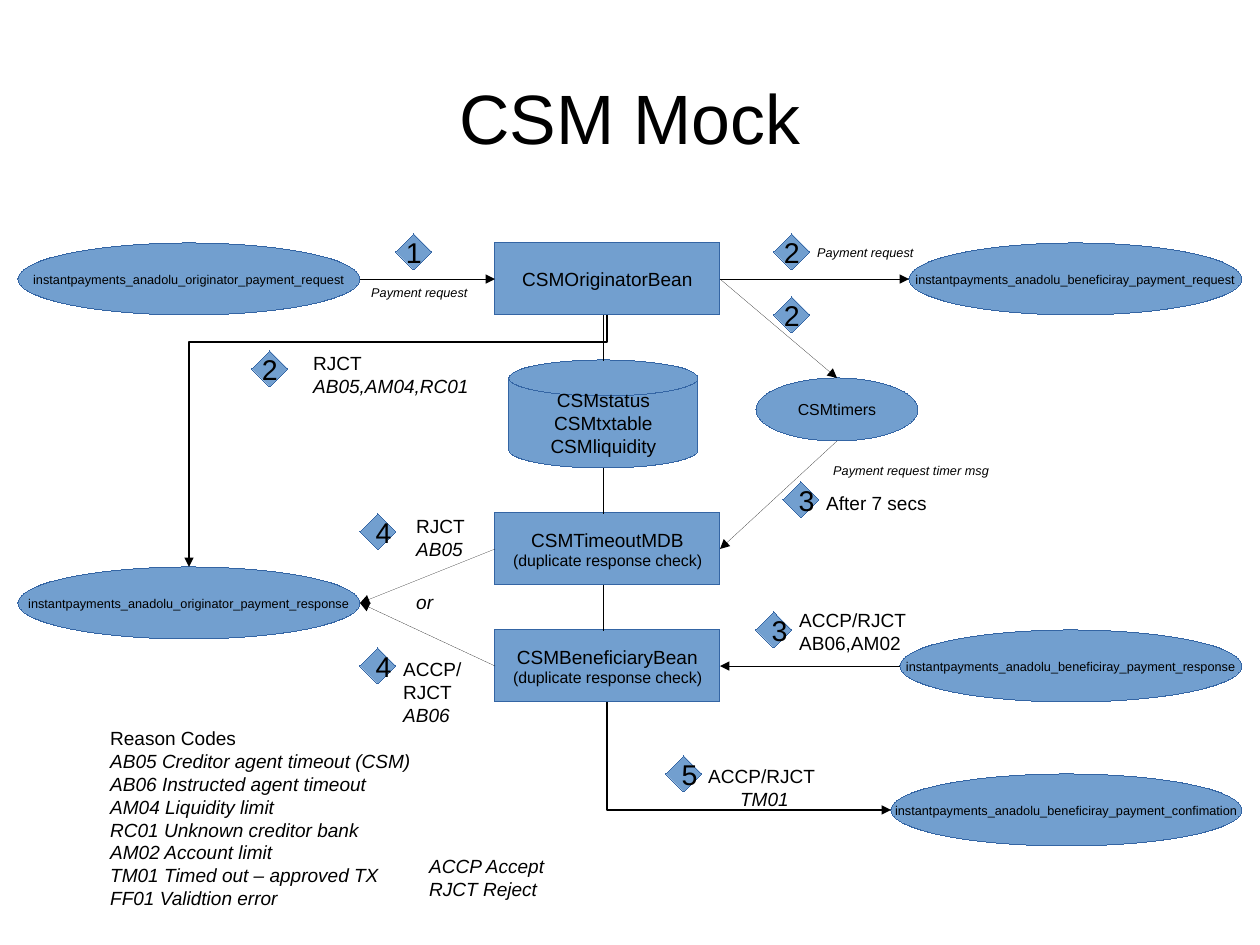
"""Build the CSM Mock payment flow slide."""
from lxml.etree import SubElement
from pptx import Presentation
from pptx.dml.color import RGBColor
from pptx.enum.shapes import MSO_CONNECTOR, MSO_SHAPE
from pptx.enum.text import MSO_ANCHOR, MSO_AUTO_SIZE, PP_ALIGN
from pptx.oxml.ns import qn
from pptx.util import Pt

PX = 8000
COLORS = {"fill": "729FCF", "edge": "3465A4", "ink": "000000"}
FONT = "Arial"
CENTER, JUSTIFY = PP_ALIGN.CENTER, PP_ALIGN.JUSTIFY

deck = Presentation()
deck.slide_width, deck.slide_height = 1260 * PX, 945 * PX
page = deck.slides.add_slide(deck.slide_layouts[6])


def write(box, lines, size, align, italic_from=99, last_size=None):
    """Fill a box with lines; runs from italic_from onward are italic."""
    frame = box.text_frame
    frame.text = "\n".join(lines)
    spans = []
    for para in frame.paragraphs:
        para.alignment = align
        spans.extend(para.runs)
    for index, span in enumerate(spans):
        span.font.name = FONT
        span.font.size = Pt(last_size if last_size and index else size)
        span.font.color.rgb = RGBColor.from_string(COLORS["ink"])
        span.font.italic = index >= italic_from


def style_line(shape, color, width, arrow=False):
    """Set a stroke's colour, width and optional arrowhead."""
    shape.line.color.rgb = RGBColor.from_string(COLORS[color])
    stroke = shape.line._get_or_add_ln()
    stroke.set("w", str(Pt(width)))
    if arrow:
        SubElement(stroke, qn("a:tailEnd"), type="triangle")


title = page.shapes.add_textbox(63 * PX, 38 * PX, 1134 * PX, 158 * PX)
title.text_frame.word_wrap = True
title.text_frame.vertical_anchor = MSO_ANCHOR.MIDDLE
write(title, ["CSM Mock"], 44, CENTER)

RECT, OVAL, DIAMOND = MSO_SHAPE.RECTANGLE, MSO_SHAPE.OVAL, MSO_SHAPE.DIAMOND
DISK = MSO_SHAPE.FLOWCHART_MAGNETIC_DISK
CHECK = "(duplicate response check)"
QUEUE = "instantpayments_anadolu_"
nodes = [
    (OVAL, 18, 243, 342, 72, [QUEUE + "originator_payment_request"], 8, CENTER),
    (RECT, 495, 243, 225, 72, ["CSMOriginatorBean"], 12, CENTER),
    (DISK, 509, 360, 189, 108, ["CSMstatus", "CSMtxtable", "CSMliquidity"], 12, CENTER),
    (RECT, 495, 513, 225, 72, ["CSMTimeoutMDB", CHECK], 12, CENTER),
    (RECT, 495, 630, 225, 72, ["CSMBeneficiaryBean", CHECK], 12, CENTER),
    (OVAL, 18, 567, 342, 72, [QUEUE + "originator_payment_response"], 8, CENTER),
    (OVAL, 909, 243, 333, 72, [QUEUE + "beneficiray_payment_request"], 8, CENTER),
    (OVAL, 756, 378, 162, 63, ["CSMtimers"], 10, CENTER),
    (OVAL, 900, 630, 342, 72, [QUEUE + "beneficiray_payment_response"], 8, CENTER),
    (OVAL, 891, 774, 351, 72, [QUEUE + "beneficiray_payment_confimation"], 8, CENTER),
]
steps = [
    ("1", 396, 234, CENTER), ("2", 774, 234, CENTER), ("2", 774, 297, CENTER),
    ("2", 252, 351, CENTER), ("4", 360, 514, JUSTIFY), ("3", 783, 482, JUSTIFY),
    ("3", 756, 612, JUSTIFY), ("5", 666, 756, JUSTIFY), ("4", 360, 648, JUSTIFY),
]
nodes += [(DIAMOND, left, top, 36, 36, [number], 18, align)
          for number, left, top, align in steps]

boxes = {}
for kind, left, top, width, height, lines, size, align in nodes:
    box = page.shapes.add_shape(kind, left * PX, top * PX, width * PX, height * PX)
    box.shadow.inherit = False
    box.fill.solid()
    box.fill.fore_color.rgb = RGBColor.from_string(COLORS["fill"])
    style_line(box, "edge", 0)
    box.text_frame.word_wrap = False
    box.text_frame.vertical_anchor = MSO_ANCHOR.MIDDLE
    write(box, lines, size, align, last_size=10 if CHECK in lines else None)
    boxes[lines[0]] = box

origin = boxes["CSMOriginatorBean"]
timeout = boxes["CSMTimeoutMDB"]
beneficiary = boxes["CSMBeneficiaryBean"]
LEFT, RIGHT = 1, 3
links = [
    ((360, 279), (495, 279), None, (origin, LEFT), True),
    ((603, 315), (603, 360), None, None, False),
    ((603, 468), (603, 513), None, None, False),
    ((603, 585), (603, 630), None, None, False),
    ((495, 549), (360, 603), (timeout, LEFT), None, True),
    ((495, 666), (360, 603), (beneficiary, LEFT), None, True),
    ((720, 279), (909, 279), (origin, RIGHT), None, True),
    ((720, 279), (837, 378), (origin, RIGHT), None, True),
    ((837, 441), (720, 549), None, (timeout, RIGHT), True),
    ((900, 666), (720, 666), None, (beneficiary, RIGHT), True),
]
for start, end, source, target, arrow in links:
    link = page.shapes.add_connector(
        MSO_CONNECTOR.STRAIGHT, *[value * PX for value in start + end])
    if source:
        link.begin_connect(*source)
    if target:
        link.end_connect(*target)
    style_line(link, "ink", 0, arrow)
    SubElement(link._element.spPr, qn("a:effectLst"))

elbows = [
    ("bentConnector2", (803, 614), (695, 898), 270, None),
    ("bentConnector3", (272, 232), (524, 650), 90, 10700),
]
for preset, start, end, degrees, bend in elbows:
    elbow = page.shapes.add_connector(
        MSO_CONNECTOR.ELBOW, *[value * PX for value in start + end])
    properties = elbow._element.spPr
    properties.find(qn("a:xfrm")).set("rot", str(degrees * 60000))
    geometry = properties.find(qn("a:prstGeom"))
    geometry.set("prst", preset)
    if bend:
        SubElement(geometry.find(qn("a:avLst")), qn("a:gd"),
                   name="adj1", fmla=f"val {bend}")
    style_line(elbow, "ink", 0.79, True)
    SubElement(properties, qn("a:effectLst"))

reasons = [
    "Reason Codes", "AB05 Creditor agent timeout (CSM)",
    "AB06 Instructed agent timeout", "AM04 Liquidity limit",
    "RC01 Unknown creditor bank", "AM02 Account limit",
    "TM01 Timed out – approved TX", "FF01 Validtion error",
]
labels = [
    (815, 486, 135, 33, ["After 7 secs"], 12, 99),
    (405, 509, 81, 54, ["RJCT\vAB05"], 12, 1),
    (788, 603, 135, 54, ["ACCP/RJCT", "AB06,AM02"], 12, 99),
    (697, 759, 135, 54, ["ACCP/RJCT", "TM01"], 12, 1),
    (392, 652, 135, 75, ["ACCP/", "RJCT", "AB06"], 12, 2),
    (405, 585, 81, 33, ["or"], 12, 0),
    (302, 346, 179, 75, ["RJCT", "AB05,AM04,RC01"], 12, 1),
    (99, 721, 432, 182, reasons, 12, 1),
    (360, 279, 179, 35, ["Payment request"], 8, 0),
    (806, 239, 126, 27, ["Payment request"], 8, 0),
    (822, 457, 179, 35, ["Payment request timer msg"], 8, 0),
    (418, 849, 179, 54, ["ACCP Accept", "RJCT Reject"], 12, 0),
]
for left, top, width, height, lines, size, italic_from in labels:
    label = page.shapes.add_textbox(left * PX, top * PX, width * PX, height * PX)
    label.text_frame.word_wrap = True
    label.text_frame.auto_size = MSO_AUTO_SIZE.SHAPE_TO_FIT_TEXT
    write(label, lines, size, JUSTIFY, italic_from)
    if lines[-1] == "TM01":
        label.text_frame.paragraphs[-1].alignment = CENTER

deck.save("out.pptx")
